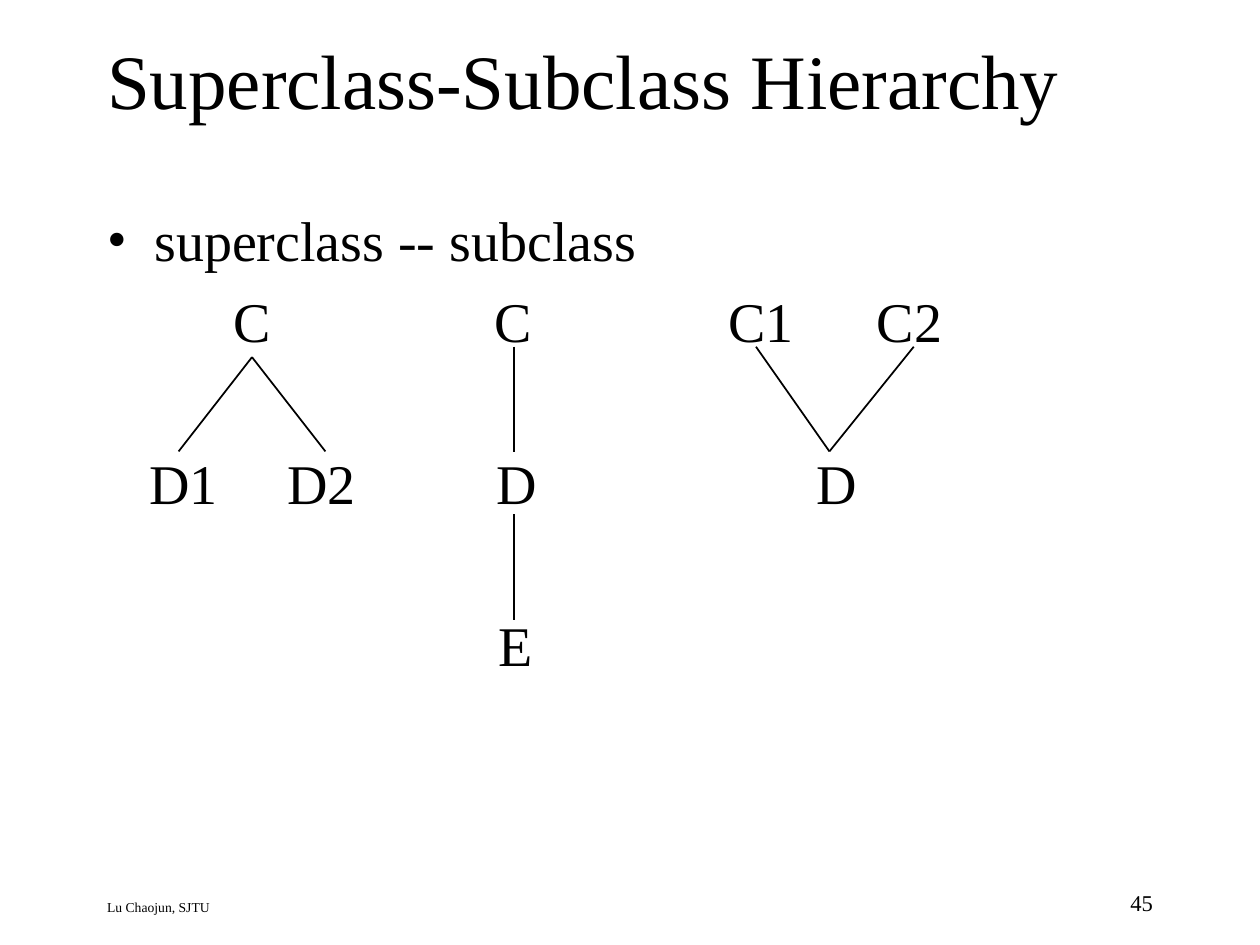
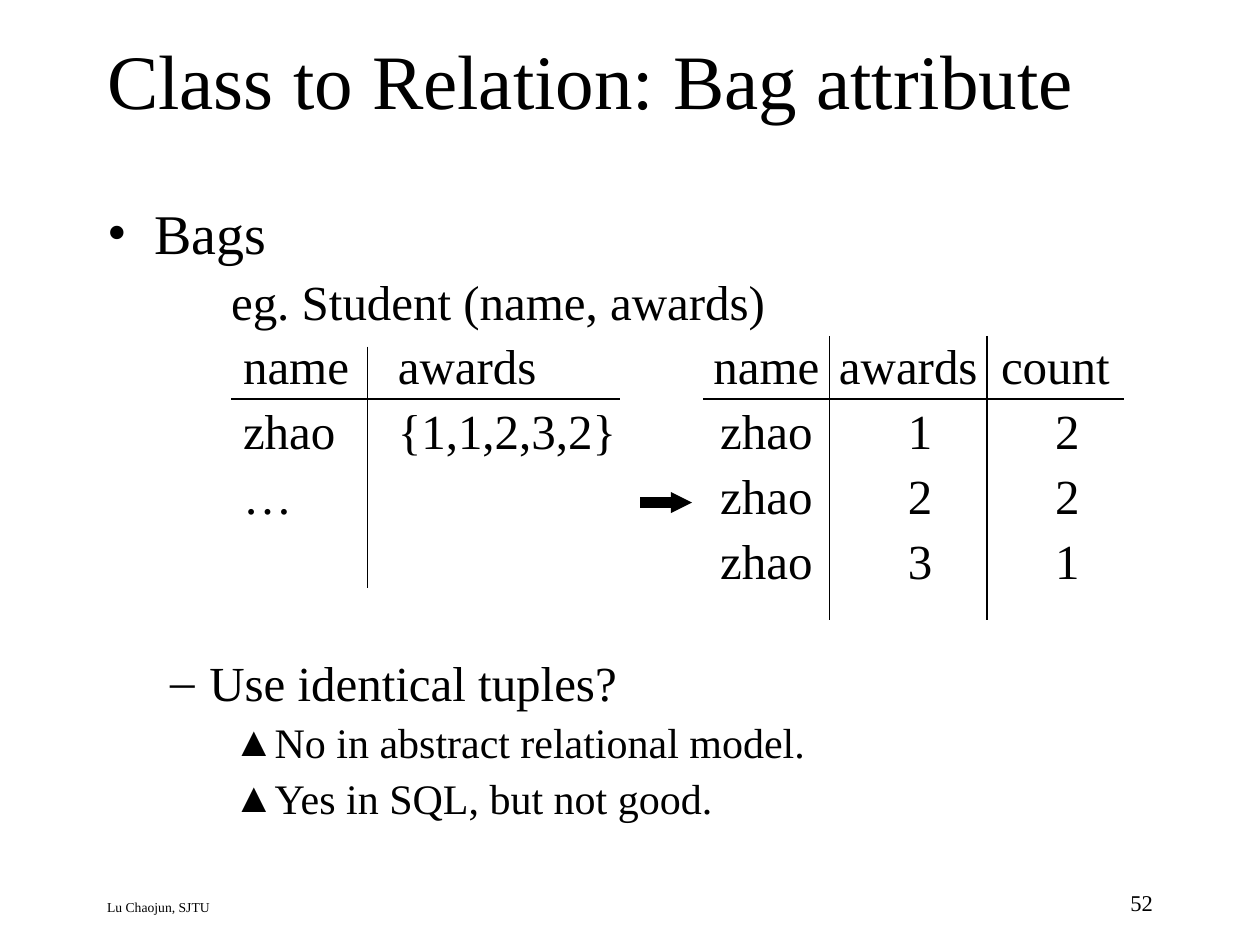
import pptx
import pptx.dml.color
import pptx.enum.shapes
import pptx.enum.text
import pptx.oxml
import pptx.oxml.ns
import pptx.util

Cm = pptx.util.Cm
Pt = pptx.util.Pt
Anchor = pptx.enum.text.MSO_ANCHOR
Align = pptx.enum.text.PP_ALIGN

BLACK = pptx.dml.color.RGBColor(0, 0, 0)
FONT_NAME = "Times New Roman"
FOOTER = "Lu Chaojun, SJTU"

FRAME_FORMAT = {
    "word_wrap": True,
    "margin_left": Cm(0.25),
    "margin_right": Cm(0.25),
    "margin_top": Cm(0.13),
    "margin_bottom": Cm(0.13),
}
CELL_FORMAT = {
    "margin_left": 0,
    "margin_right": 0,
    "margin_top": 0,
    "margin_bottom": 0,
    "vertical_anchor": Anchor.MIDDLE,
}
TOPIC = {"size": 32, "before": 8, "margin": 0.95, "indent": -0.95, "bullet": "•"}
EXAMPLE = {"size": 28, "before": 7, "level": 1, "margin": 2.5}
QUESTION = {"size": 28, "before": 187, "level": 1, "margin": 2.06, "indent": -0.79, "bullet": "–"}
ANSWER = {"size": 24, "before": 6, "level": 2, "margin": 3.18, "indent": -0.64, "bullet": "▲"}
TABLE_TOP = 6.77
ROW_HEIGHT = 1.31


def set_attributes(target, values):
    for name, value in values.items():
        setattr(target, name, value)


def add_element(parent, tag, **attributes):
    child = parent.makeelement(pptx.oxml.ns.qn(tag), attributes)
    parent.append(child)


class Deck:
    def __init__(self):
        self.presentation = pptx.Presentation()
        set_attributes(self.presentation, {"slide_width": Cm(25.4), "slide_height": Cm(19.05)})
        self.slide = None

    def add_slide(self, title, number):
        self.slide = self.presentation.slides.add_slide(self.presentation.slide_layouts[6])
        footer = self.add_text_box(1.91, 17.99, 14.73, 0.64)
        self.add_paragraph(footer, FOOTER, size=7.8)
        page_number = self.add_text_box(18.2, 17.79, 5.29, 0.84)
        self.add_paragraph(page_number, str(number), size=12.9, alignment=Align.RIGHT)
        heading = self.add_text_box(1.91, 0, 21.59, 3.18, Anchor.MIDDLE)
        self.add_paragraph(heading, title, size=44)
        return self.add_text_box(1.91, 4.02, 21.59, 12.91)

    def add_text_box(self, left, top, width, height, anchor=Anchor.TOP):
        shape = self.slide.shapes.add_textbox(Cm(left), Cm(top), Cm(width), Cm(height))
        set_attributes(shape.text_frame, {**FRAME_FORMAT, "vertical_anchor": anchor})
        return shape.text_frame

    def add_paragraph(self, frame, text, size, before=0, level=0, margin=0, indent=0,
                      bullet=None, spacing=1.0, alignment=Align.LEFT):
        paragraph = frame.paragraphs[0]
        if paragraph.runs:
            paragraph = frame.add_paragraph()
        set_attributes(paragraph, {
            "level": level,
            "alignment": alignment,
            "space_before": Pt(before),
            "line_spacing": spacing,
        })
        run = paragraph.add_run()
        run.text = text
        set_attributes(run.font, {"name": FONT_NAME, "size": Pt(size)})
        run.font.color.rgb = BLACK
        properties = paragraph._p.get_or_add_pPr()
        properties.set("marL", str(Cm(margin)))
        properties.set("indent", str(Cm(indent)))
        if bullet:
            add_element(properties, "a:buFont", typeface=FONT_NAME)
            add_element(properties, "a:buChar", char=bullet)
        else:
            add_element(properties, "a:buNone")

    def add_node(self, label, left, top):
        self.add_paragraph(self.add_text_box(left, top, 2, 1.6), label, size=32)

    def add_line(self, start, end, width=1, arrow=False):
        connector = self.slide.shapes.add_connector(
            pptx.enum.shapes.MSO_CONNECTOR.STRAIGHT, *(Cm(value) for value in (*start, *end)))
        connector.line.color.rgb = BLACK
        connector.line.width = Pt(width)
        if arrow:
            add_element(connector.line._get_or_add_ln(), "a:tailEnd",
                        type="triangle", w="sm", len="sm")
        add_element(connector._element.spPr, "a:effectLst")

    def add_table(self, rows, edges, rule_top, rule_bottom, alignment, cell_margin):
        left, *dividers, right = edges
        frame = self.slide.shapes.add_table(
            len(rows), len(edges) - 1, Cm(left), Cm(TABLE_TOP),
            Cm(right - left), Cm(ROW_HEIGHT * len(rows)))
        table = frame.table
        set_attributes(table, {"first_row": False, "horz_banding": False})
        for column, start, end in zip(table.columns, edges, edges[1:]):
            column.width = Cm(end - start)
        for row_index, texts in enumerate(rows):
            for column_index, text in enumerate(texts):
                cell = table.cell(row_index, column_index)
                margin = Cm(cell_margin(row_index, column_index))
                set_attributes(cell, {**CELL_FORMAT, "margin_left": margin})
                cell.fill.background()
                self.add_paragraph(cell.text_frame, text, size=28, alignment=alignment)
        header_bottom = 8.04
        self.add_line((left, header_bottom), (right, header_bottom))
        for divider in dividers:
            self.add_line((divider, rule_top), (divider, rule_bottom))


def build_hierarchy(deck):
    body = deck.add_slide("Superclass-Subclass Hierarchy", 45)
    deck.add_paragraph(body, "superclass -- subclass", **TOPIC)
    levels = [
        [("C", 4.45), ("C", 9.71), ("C1", 14.43), ("C2", 17.43)],
        [("D1", 2.76), ("D2", 5.54), ("D", 9.76), ("D", 16.21)],
        [("E", 9.81)],
    ]
    for depth, nodes in enumerate(levels):
        for label, left in nodes:
            deck.add_node(label, left, 5.64 + 3.27 * depth)

    parent_bottom, child_top = 6.99, 9.1
    for child in (3.6, 6.56):
        deck.add_line((5.08, 7.2), (child, child_top))
    for top in (parent_bottom, 10.37):
        deck.add_line((10.37, top), (10.37, top + 2.12))
    for parent in (15.24, 18.42):
        deck.add_line((parent, parent_bottom), (16.72, child_top))


def build_bag_attribute(deck):
    body = deck.add_slide("Class to Relation: Bag attribute", 52)
    deck.add_paragraph(body, "Bags", spacing=0.9, **TOPIC)
    deck.add_paragraph(body, "eg. Student (name, awards)", spacing=0.9, **EXAMPLE)
    deck.add_paragraph(body, "Use identical tuples?", spacing=0.9, **QUESTION)
    for answer in ("No in abstract relational model.", "Yes in SQL, but not good."):
        deck.add_paragraph(body, answer, spacing=0.9, **ANSWER)

    bags = [("name", "awards"), ("zhao", "{1,1,2,3,2}"), ("…", "")]
    deck.add_table(bags, [4.66, 7.41, 12.49], 6.99, 11.85, Align.LEFT,
                   lambda row, column: 0.61 if column else 0.24)
    counts = [("name", "awards", "count"), ("zhao", "1", "2"), ("zhao", "2", "2"), ("zhao", "3", "1")]
    deck.add_table(counts, [14.18, 16.72, 19.9, 22.65], TABLE_TOP, 12.49, Align.CENTER,
                   lambda row, column: 0.48 if row and column else 0)
    deck.add_line((12.91, 10.13), (13.95, 10.13), width=6, arrow=True)


def main():
    deck = Deck()
    build_hierarchy(deck)
    build_bag_attribute(deck)
    deck.presentation.save("out.pptx")


if __name__ == "__main__":
    main()
